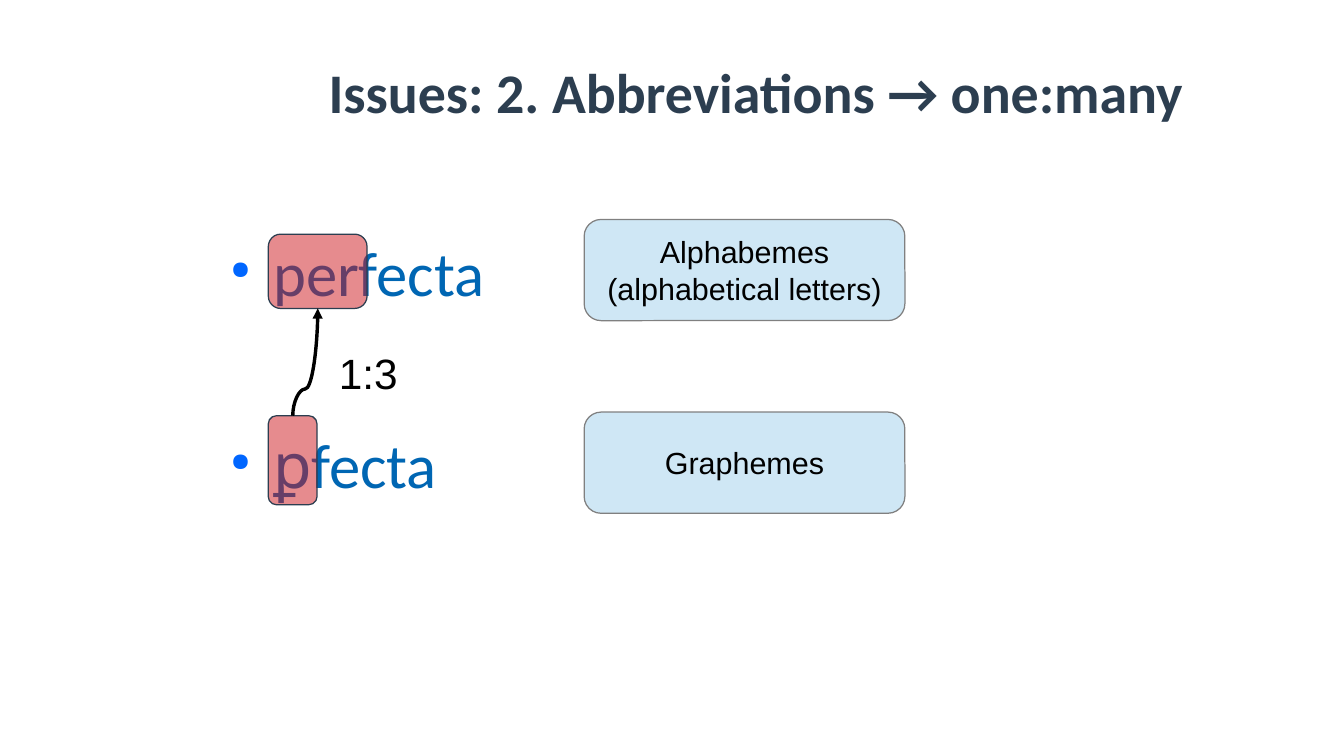
import pptx
import pptx.dml.color
import pptx.enum.shapes
import pptx.enum.text
import pptx.oxml
import pptx.oxml.ns
import pptx.util
from lxml import etree

Inches = pptx.util.Inches
Pt = pptx.util.Pt
ALIGN = pptx.enum.text.PP_ALIGN
ANCHOR = pptx.enum.text.MSO_ANCHOR
qn = pptx.oxml.ns.qn

TITLE_FONT = {"name": "Calibri", "size": Pt(33), "bold": True}
WORD_FONT = {"name": "Calibri", "size": Pt(37)}
RATIO_FONT = {"name": "Arial", "size": Pt(25)}
LEVEL_FONT = {"name": "Arial", "size": Pt(18)}
NO_MARGINS = dict.fromkeys(
    ("margin_left", "margin_top", "margin_right", "margin_bottom"), 0)


def rgb(value):
    return pptx.dml.color.RGBColor.from_string(value)


def set_attributes(target, values):
    for name, value in values.items():
        setattr(target, name, value)


def write_paragraph(paragraph, text, font, color, alignment=ALIGN.LEFT):
    paragraph.text = text
    paragraph.alignment = alignment
    set_attributes(paragraph.font, font)
    paragraph.font.color.rgb = rgb(color)


def add_bullet(paragraph):
    properties = paragraph._p.get_or_add_pPr()
    properties.set("marL", str(Inches(0.47)))
    properties.set("indent", str(Inches(-0.35)))
    color = etree.SubElement(properties, qn("a:buClr"))
    etree.SubElement(color, qn("a:srgbClr"), val="0066FF")
    etree.SubElement(properties, qn("a:buSzPct"), val="40000")
    etree.SubElement(properties, qn("a:buChar"), char="●")
    paragraph.space_after = Pt(10.6)


def add_rounded_box(slide, box, fill, line):
    shape = slide.shapes.add_shape(
        pptx.enum.shapes.MSO_SHAPE.FLOWCHART_ALTERNATE_PROCESS, *map(Inches, box))
    shape.shadow.inherit = False
    shape.fill.solid()
    shape.fill.fore_color.rgb = rgb(fill)
    shape.line.color.rgb = rgb(line)
    shape.line.width = Pt(0)
    return shape


def add_title(slide, box, text):
    title = slide.shapes.title
    title.left, title.top, title.width, title.height = map(Inches, box)
    set_attributes(title.text_frame, NO_MARGINS | {
        "vertical_anchor": ANCHOR.MIDDLE, "word_wrap": True,
        "auto_size": pptx.enum.text.MSO_AUTO_SIZE.NONE})
    write_paragraph(title.text_frame.paragraphs[0], text, TITLE_FONT, "2C3E50",
                    ALIGN.CENTER)


def add_word(slide, box, word, highlight):
    """Bulleted word; highlight is (top offset, width, height)."""
    left, top, width, height = box
    frame = slide.shapes.add_textbox(*map(Inches, box)).text_frame
    set_attributes(frame, NO_MARGINS | {"word_wrap": True})
    paragraph = frame.paragraphs[0]
    add_bullet(paragraph)
    write_paragraph(paragraph, word, WORD_FONT, "0066B3")

    # Translucent highlight over the first letters
    offset, mark_width, mark_height = highlight
    mark = add_rounded_box(slide, (left + 0.43, top + offset, mark_width, mark_height),
                           "CE181E", "2C3E50")
    color = mark.fill._xPr.find(qn("a:solidFill"))[0]
    etree.SubElement(color, qn("a:alpha"), val="50000")
    return mark


def add_level(slide, box, lines):
    shape = add_rounded_box(slide, box, "CFE7F5", "808080")
    frame = shape.text_frame
    set_attributes(frame, {"word_wrap": False, "vertical_anchor": ANCHOR.MIDDLE})
    for index, line in enumerate(lines):
        paragraph = frame.add_paragraph() if index else frame.paragraphs[0]
        write_paragraph(paragraph, line, LEVEL_FONT, "000000", ALIGN.CENTER)


def add_curved_arrow(slide, lower, upper):
    """Curve from the top of the lower mark to the bottom of the upper one."""
    start_x = lower.left + lower.width // 2
    end_x = upper.left + upper.width // 2
    start_y, end_y = lower.top, upper.top + upper.height
    center_x, center_y = (start_x + end_x) // 2, (start_y + end_y) // 2
    half_length, half_shift = (start_y - end_y) // 2, (end_x - start_x) // 2

    # Drawn lying down, then turned by 90 degrees
    connector = slide.shapes.add_connector(
        pptx.enum.shapes.MSO_CONNECTOR.CURVE,
        center_x + half_length, center_y + half_shift,
        center_x - half_length, center_y - half_shift)
    connector.line.color.rgb = rgb("000000")
    connector.line.width = Pt(0)
    properties = connector._element.spPr
    properties.find(qn("a:xfrm")).set("rot", "5400000")
    guides = properties.find(qn("a:prstGeom")).find(qn("a:avLst"))
    etree.SubElement(guides, qn("a:gd"), name="adj1", fmla="val 25000")
    etree.SubElement(properties.find(qn("a:ln")), qn("a:tailEnd"), type="triangle")
    etree.SubElement(properties, qn("a:effectLst"))


def add_ratio(slide, box, text):
    frame = slide.shapes.add_textbox(*map(Inches, box)).text_frame
    frame.word_wrap = False
    write_paragraph(frame.paragraphs[0], text, RATIO_FONT, "000000")


def main():
    presentation = pptx.Presentation()
    presentation.slide_width = Inches(11.02)
    presentation.slide_height = Inches(6.2)
    slide = presentation.slides.add_slide(presentation.slide_layouts[5])

    add_title(slide, (1.77, 0.24, 8.86, 1.02), "Issues: 2. Abbreviations → one:many")

    # Words and the mapping between them
    lower = add_word(slide, (1.77, 3.49, 9.08, 0.6), "ꝑfecta", (-0.08, 0.4, 0.73))
    upper = add_word(slide, (1.77, 1.92, 9.08, 0.6), "perfecta", (0, 0.81, 0.61))
    add_curved_arrow(slide, lower, upper)
    add_ratio(slide, (2.68, 2.8, 0.68, 0.49), "1:3")

    # Levels of description
    levels = [["Alphabemes", "(alphabetical letters)"], ["Graphemes"]]
    for index, lines in enumerate(levels):
        add_level(slide, (4.79, 1.8 + 1.58 * index, 2.63, 0.83), lines)

    presentation.save("out.pptx")


if __name__ == "__main__":
    main()
